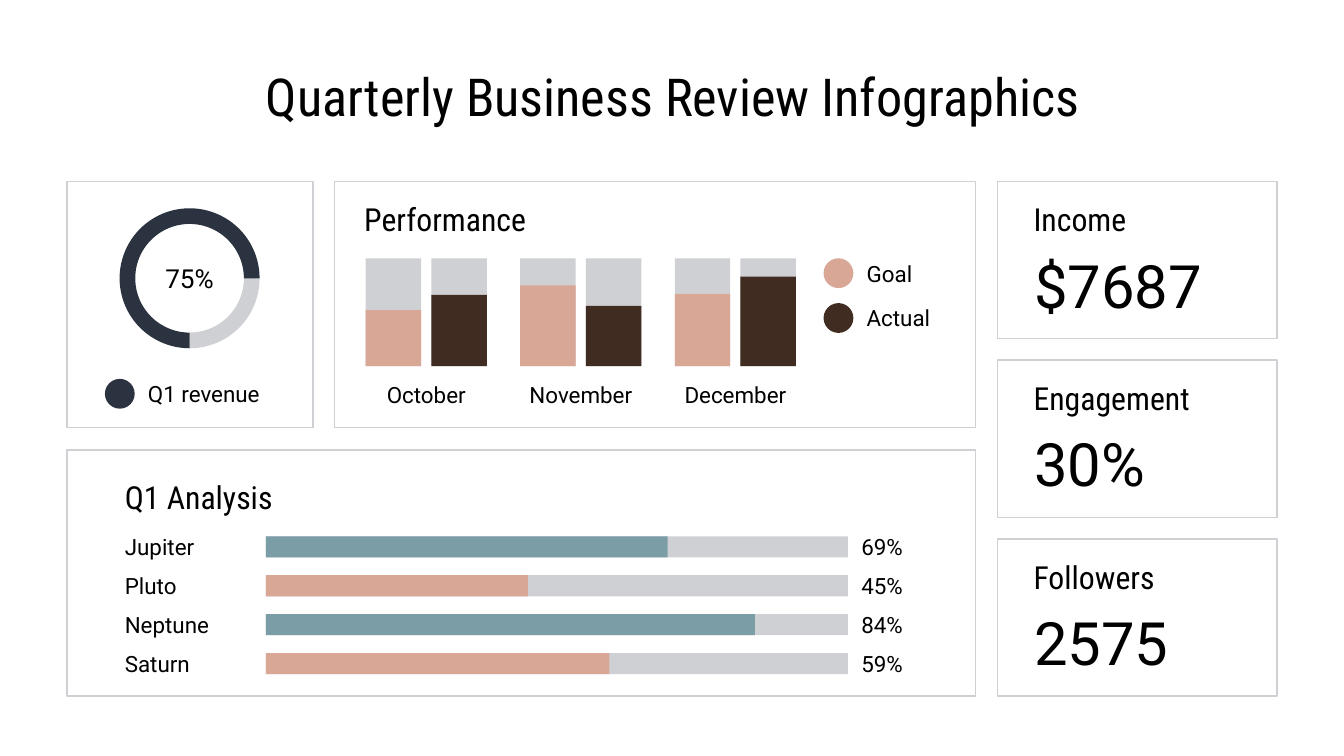
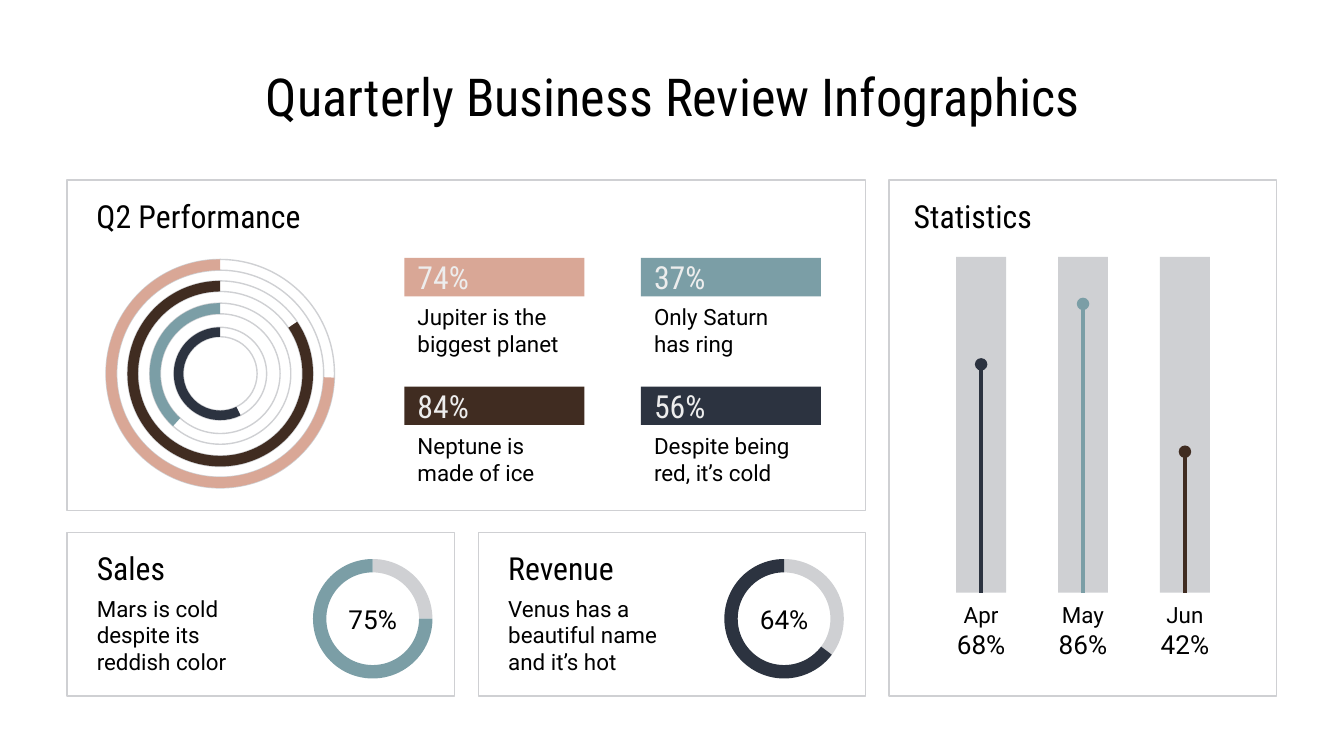
import pptx
import pptx.util
import pptx.dml.color
import pptx.enum.shapes
import pptx.enum.text
import pptx.oxml
import pptx.oxml.ns
from dataclasses import dataclass

Pt = pptx.util.Pt
MSO = pptx.enum.shapes.MSO_SHAPE
ALIGN = pptx.enum.text.PP_ALIGN


@dataclass(frozen=True)
class Theme:
    black: str = "000000"
    pale: str = "EDEDED"
    gray: str = "CFD0D3"
    navy: str = "2C3340"
    teal: str = "7B9EA6"
    rose: str = "D9A796"
    brown: str = "402C21"
    body: str = "Roboto"
    head: str = "Roboto Condensed"
    title_size: int = 28
    head_size: int = 17
    body_size: int = 12
    value_size: int = 14
    figure_size: int = 32
    panel_line: float = 0.83
    ring_line: float = 0.75
    stem_line: float = 2.25


T = Theme()

# Content
TITLE = "Quarterly Business Review Infographics"
FIGURES = [("Income", "$7687"), ("Engagement", "30%"), ("Followers", "2575")]
ANALYSIS = [("Jupiter", 69, T.teal), ("Pluto", 45, T.rose),
            ("Neptune", 84, T.teal), ("Saturn", 59, T.rose)]
MONTHS = [("October", 52, 66), ("November", 75, 56), ("December", 67, 83)]
LEGEND = [("Goal", T.rose), ("Actual", T.brown)]
# Percent, note, colour, column, row
PLANETS = [("74%", "Jupiter is the biggest planet", T.rose, 0, 0),
           ("84%", "Neptune is made of ice", T.brown, 0, 1),
           ("37%", "Only Saturn has ring", T.teal, 1, 0),
           ("56%", "Despite being red, it’s cold", T.navy, 1, 1)]
# Diameter, band share of diameter, start angle, colour
RINGS = [(122.4, 0.047, 2, T.rose), (99.4, 0.057, 326, T.brown),
         (75.6, 0.076, 132, T.teal), (49.7, 0.102, 64, T.navy)]
# Heading, note, percent, start angle, colour
CARDS = [("Sales", "Mars is cold despite its reddish color", "75%", 0, T.teal),
         ("Revenue", "Venus has a beautiful name and it’s hot", "64%", 37, T.navy)]
STATISTICS = [("Apr", 68, T.navy), ("May", 86, T.teal), ("Jun", 42, T.brown)]


def rgb(color):
    return pptx.dml.color.RGBColor.from_string(color)


def write(sp, text, size=T.body_size, font=T.body, color=T.black, align=ALIGN.LEFT):
    """Put one formatted paragraph in a shape."""
    tf = sp.text_frame
    tf.word_wrap = True
    tf.vertical_anchor = pptx.enum.text.MSO_ANCHOR.MIDDLE
    tf.margin_left = tf.margin_right = tf.margin_top = tf.margin_bottom = Pt(7.2)
    p = tf.paragraphs[0]
    p.alignment = align
    r = p.add_run()
    r.text = text
    r.font.size, r.font.name = Pt(size), font
    r.font.color.rgb = rgb(color)


def label(slide, text, x, y, w, h=16, **style):
    write(slide.shapes.add_textbox(Pt(x), Pt(y), Pt(w), Pt(h)), text, **style)


def heading(slide, text, x, y, w=125):
    label(slide, text, x, y, w, 20.5, size=T.head_size, font=T.head)


def shape(slide, kind, x, y, w, h, fill=None, line=None, width=T.panel_line, adj=()):
    sp = slide.shapes.add_shape(kind, Pt(x), Pt(y), Pt(w), Pt(h))
    sp.shadow.inherit = False
    for i, value in enumerate(adj):
        sp.adjustments[i] = value
    if fill:
        sp.fill.solid()
        sp.fill.fore_color.rgb = rgb(fill)
    else:
        sp.fill.background()
    if line:
        sp.line.color.rgb = rgb(line)
        sp.line.width = Pt(width)
    else:
        sp.line.fill.background()
    return sp


def panel(slide, x, y, w, h):
    shape(slide, MSO.RECTANGLE, x, y, w, h, line=T.gray)


def arc(slide, x, y, d, start, end, band, color):
    """Ring segment running clockwise between two angles in degrees."""
    shape(slide, MSO.BLOCK_ARC, x, y, d, d, fill=color,
          adj=(start * 0.6, end * 0.6, band))


def dial(slide, x, y, d, start, end, color, text):
    arc(slide, x, y, d, end, start, 0.112, T.gray)
    arc(slide, x, y, d, start, end, 0.112, color)
    label(slide, text, x, y + d / 2 - 8, d, size=T.value_size, align=ALIGN.CENTER)


def key(slide, text, x, y, color, w):
    shape(slide, MSO.OVAL, x, y, 16, 16, fill=color)
    label(slide, text, x + 16, y, w)


def stem(slide, track, x, top, bottom, color):
    """Line rising from the foot of a track to a round head."""
    cx = slide.shapes.add_connector(pptx.enum.shapes.MSO_CONNECTOR.STRAIGHT,
                                    Pt(x), Pt(bottom), Pt(x), Pt(top))
    cx.begin_connect(track, 2)
    cx.line.color.rgb = rgb(color)
    cx.line.width = Pt(T.stem_line)
    qn = pptx.oxml.ns.qn
    sp_pr = cx._element.spPr
    tail = sp_pr.find(qn("a:ln")).makeelement(qn("a:tailEnd"), {"type": "oval"})
    sp_pr.find(qn("a:ln")).append(tail)
    sp_pr.append(sp_pr.makeelement(qn("a:effectLst"), {}))


def new_slide(prs):
    slide = prs.slides.add_slide(prs.slide_layouts[6])
    label(slide, TITLE, 56, 32.4, 608.5, 38.2, size=T.title_size, font=T.head,
          align=ALIGN.CENTER)
    return slide


def first_quarter(prs):
    slide = new_slide(prs)

    # Revenue dial
    panel(slide, 36, 97.2, 131.8, 131.8)
    dial(slide, 64.1, 111.6, 75, 90, 0, T.navy, "75%")
    key(slide, "Q1 revenue", 56.2, 203, T.navy, 75)

    # Monthly performance
    panel(slide, 179.3, 97.2, 343.4, 131.8)
    heading(slide, "Performance", 188, 106.8)
    top, height, width = 138.4, 57.8, 29.7
    for i, (month, *shares) in enumerate(MONTHS):
        x = 195.9 + i * 82.8
        for j, (share, (_, color)) in enumerate(zip(shares, LEGEND)):
            bar_x, filled = x + j * 35.2, height * share / 100
            shape(slide, MSO.RECTANGLE, bar_x, top, width, height, fill=T.gray)
            shape(slide, MSO.RECTANGLE, bar_x, top + height - filled, width, filled,
                  fill=color)
        label(slide, month, x - 5, 203.4, 75, align=ALIGN.CENTER)
    for i, (name, color) in enumerate(LEGEND):
        key(slide, name, 441.2, 138.4 + i * 24, color, 53)

    # Analysis bars
    panel(slide, 36, 241.2, 486.7, 131.8)
    heading(slide, "Q1 Analysis", 59.8, 255.8)
    left, width = 142.5, 311.8
    for i, (name, percent, color) in enumerate(ANALYSIS):
        y = 287.3 + i * 20.85
        shape(slide, MSO.RECTANGLE, left, y, width, 11.3, fill=T.gray)
        shape(slide, MSO.RECTANGLE, left, y, width * percent / 100, 11.3, fill=color)
        label(slide, name, 59.8, y - 2.2, 75)
        label(slide, f"{percent}%", left + width, y - 2.2, 44.6)

    # Key figures
    for i, (name, figure) in enumerate(FIGURES):
        y = 97.2 + i * 95.8
        panel(slide, 534.4, y, 149.8, 84.2)
        heading(slide, name, 546.6, y + 9.9)
        label(slide, figure, 547, y + 36, 125, 38.2, size=T.figure_size)


def second_quarter(prs):
    slide = new_slide(prs)

    # Concentric rings
    panel(slide, 36, 96.3, 427.7, 177.2)
    heading(slide, "Q2 Performance", 44.6, 105.5, 195)
    for d, band, start, color in RINGS:
        x, y = 118 - d / 2, 200.2 - d / 2
        shape(slide, MSO.DONUT, x, y, d, d, line=T.gray, width=T.ring_line, adj=(band,))
        arc(slide, x, y, d, start, 270, band, color)

    # Planet notes
    for percent, note, color, column, row in PLANETS:
        x, y = 216.6 + column * 126.7, 138.2 + row * 68.9
        sp = shape(slide, MSO.RECTANGLE, x, y, 96.5, 20.6, fill=color)
        write(sp, percent, size=T.head_size, font=T.head, color=T.pale)
        label(slide, note, x, y + 22.4, 96.5, 32.4)

    # Sales and revenue cards
    for i, (name, note, percent, start, color) in enumerate(CARDS):
        x = 36 + i * 220.4
        panel(slide, x, 285.2, 207.4, 87.8)
        heading(slide, name, x + 8.8, 293.8, 103)
        label(slide, note, x + 8.8, 316.1, 103, 48.2)
        dial(slide, x + 131.7, 299.5, 64, start, 270, color, percent)

    # Statistics stems
    panel(slide, 476.4, 96.5, 207.4, 276.5)
    heading(slide, "Statistics", 482.4, 105.5, 195)
    top, height, width = 137.6, 180, 26.8
    for i, (month, percent, color) in enumerate(STATISTICS):
        center = 525.6 + i * 54.6
        track = shape(slide, MSO.RECTANGLE, center - width / 2, top, width, height,
                      fill=T.gray)
        bottom = top + height
        stem(slide, track, center, bottom - height * percent / 100, bottom, color)
        label(slide, month, center - 21, 321.4, 42, align=ALIGN.CENTER)
        label(slide, f"{percent}%", center - 27, 337.2, 54, size=T.value_size,
              align=ALIGN.CENTER)


def main():
    prs = pptx.Presentation()
    prs.slide_width, prs.slide_height = Pt(720), Pt(405)
    first_quarter(prs)
    second_quarter(prs)
    prs.save("out.pptx")


if __name__ == "__main__":
    main()
